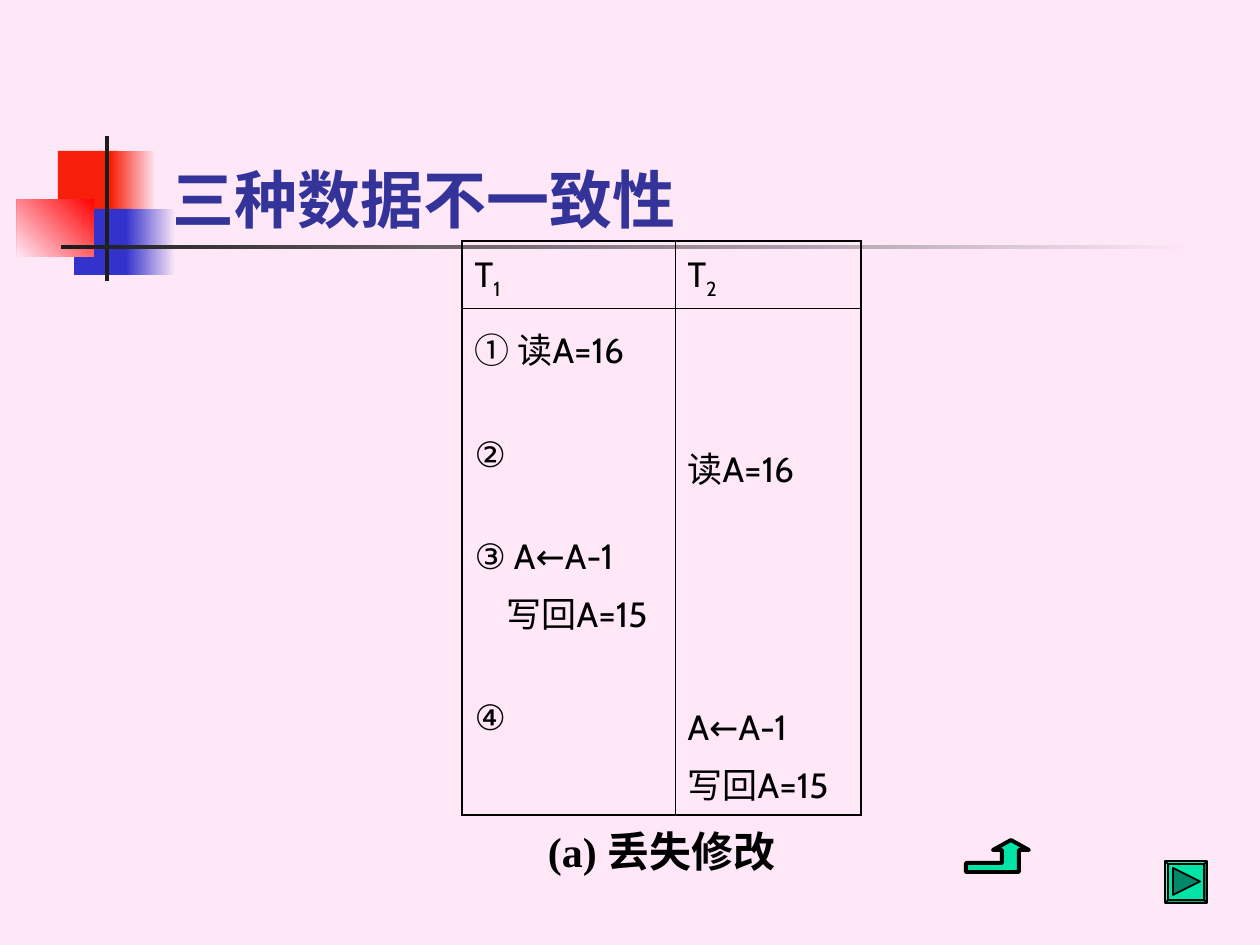
from pptx import Presentation
from pptx import util as u
from pptx.dml.color import RGBColor
from pptx.enum import shapes, text
from pptx.oxml import parse_xml
from pptx.oxml.ns import nsdecls

SCALE = 914400 / 126
PINK, RED, BLUE, DARK = "FEE8F7", "F6200A", "3333CC", "1C1C1C"
GREEN, BLACK = "00E4A8", "000000"
THIN, THICK = 0.45, 1.08


def px(n):
    return u.Emu(round(n * SCALE))


def rgb(value):
    return RGBColor.from_string(value)


class Deck:
    title_font = dict(name="Cabin", size=u.Pt(36), bold=True)
    cell_font = dict(name="Cabin", size=u.Pt(20), bold=False)
    caption_font = dict(name="Times New Roman", size=u.Pt(24), bold=True)

    def __init__(self, width, height, background):
        self.prs = Presentation()
        self.prs.slide_width, self.prs.slide_height = px(width), px(height)
        self.s = self.prs.slides.add_slide(self.prs.slide_layouts[5])
        fill = self.s.background.fill
        fill.solid()
        fill.fore_color.rgb = rgb(background)

    def font(self, r, fmt, color):
        for key, value in fmt.items():
            setattr(r.font, key, value)
        r.font.color.rgb = rgb(color)

    def paint(self, sp, fill, line=None, weight=1):
        sp.shadow.inherit = False
        sp.fill.solid()
        sp.fill.fore_color.rgb = rgb(fill)
        if line:
            sp.line.color.rgb = rgb(line)
            sp.line.width = u.Pt(weight)
        else:
            sp.line.fill.background()

    def shape(self, kind, box, fill, line=None, weight=1):
        sp = self.s.shapes.add_shape(kind, *map(px, box))
        self.paint(sp, fill, line, weight)
        return sp

    def fade(self, box, start, end, angle):
        sp = self.shape(shapes.MSO_SHAPE.RECTANGLE, box, start)
        sp.fill.gradient()
        sp.fill.gradient_angle = angle
        for stop, color in zip(sp.fill.gradient_stops, (start, end)):
            stop.color.rgb = rgb(color)

    def outline(self, points, fill, line, weight):
        builder = self.s.shapes.build_freeform(*points[0], scale=SCALE)
        builder.add_line_segments(points[1:], close=True)
        self.paint(builder.convert_to_shape(), fill, line, weight)

    def label(self, sp, box, words, fmt, color, frame, align):
        sp.left, sp.top, sp.width, sp.height = map(px, box)
        tf = sp.text_frame
        for key, value in frame.items():
            setattr(tf, key, value)
        p = tf.paragraphs[0]
        p.alignment = align
        r = p.add_run()
        r.text = words
        self.font(r, fmt, color)

    def title(self, box, words, color):
        frame = dict(vertical_anchor=text.MSO_ANCHOR.BOTTOM, word_wrap=True)
        self.label(self.s.shapes.title, box, words, self.title_font, color,
                   frame, text.PP_ALIGN.LEFT)

    def caption(self, box, words):
        frame = dict(vertical_anchor=text.MSO_ANCHOR.MIDDLE, word_wrap=False)
        sp = self.s.shapes.add_textbox(*map(px, box))
        self.label(sp, box, words, self.caption_font, BLACK, frame,
                   text.PP_ALIGN.CENTER)

    def borders(self, cell, weights):
        tcPr = cell._tc.get_or_add_tcPr()
        for i, (side, weight) in enumerate(zip("LRTB", weights)):
            tcPr.insert(i, parse_xml(
                f'<a:ln{side} {nsdecls("a")} w="{u.Pt(weight)}"><a:solidFill>'
                f'<a:srgbClr val="{BLACK}"/></a:solidFill></a:ln{side}>'))

    def cell(self, cell, top, lines):
        cell.margin_top = px(top)
        cell.fill.background()
        for i, (words, sub, gap, indent) in enumerate(lines):
            p = cell.text_frame.paragraphs[0] if i == 0 else cell.text_frame.add_paragraph()
            if gap:
                p.space_before = u.Pt(gap)
            if indent:
                p._p.get_or_add_pPr().set("marL", str(px(indent)))
            for part, low in ((words, False), (sub, True)):
                if part:
                    r = p.add_run()
                    r.text = part
                    self.font(r, self.cell_font, BLACK)
                    if low:
                        r.font._element.set("baseline", "-25000")

    def table(self, left, top, widths, heights, cells):
        rows, cols = len(heights), len(widths)
        frame = self.s.shapes.add_table(rows, cols, px(left), px(top),
                                        px(sum(widths)), px(sum(heights)))
        tbl = frame.table
        tbl.first_row = tbl.horz_banding = False
        for col, width in zip(tbl.columns, widths):
            col.width = px(width)
        for row, height in zip(tbl.rows, heights):
            row.height = px(height)
        for (i, j), (margin, lines) in cells.items():
            outer = (j == 0, j == cols - 1, i == 0, i == rows - 1)
            self.cell(tbl.cell(i, j), margin, lines)
            self.borders(tbl.cell(i, j), [THICK if edge else THIN for edge in outer])


def main():
    deck = Deck(1260, 945, PINK)
    rect = shapes.MSO_SHAPE.RECTANGLE
    deck.shape(rect, (58, 151, 60, 66), RED)
    deck.fade((111, 151, 45, 66), PINK, RED, 180)
    deck.shape(rect, (74, 209, 58, 66), BLUE)
    deck.fade((126, 209, 50, 66), PINK, BLUE, 180)
    deck.fade((17, 199, 77, 58), "FF0000", PINK, 225)
    deck.shape(rect, (105, 136, 4, 145), DARK)
    deck.fade((61, 245, 1134, 4), PINK, DARK, 180)

    deck.title((159, 84, 1074, 158), "三种数据不一致性", "333399")
    steps = [("① 读A=16", "", 0, 0), ("②", "", 34, 0), ("③ A←A-1", "", 34, 0),
             ("写回A=15", "", 5, 32), ("④", "", 34, 0)]
    replies = [("读A=16", "", 0, 0), ("A←A-1", "", 122, 0), ("写回A=15", "", 5, 0)]
    deck.table(462, 241, (213, 186), (61, 503), {
        (0, 0): (13, [("T", "1", 0, 0)]),
        (0, 1): (13, [("T", "2", 0, 0)]),
        (1, 0): (15, steps),
        (1, 1): (134, replies),
    })
    deck.caption((483, 809, 357, 84), "(a) 丢失修改")

    deck.outline([(966, 863), (1002, 863), (1002, 850), (993, 850), (1011, 840),
                  (1029, 850), (1019, 850), (1019, 872), (966, 872)],
                 GREEN, BLACK, 2.25)
    button = deck.shape(shapes.MSO_SHAPE.BEVEL, (1165, 861, 42, 42), GREEN, BLACK)
    button.adjustments[0] = 0.07
    arrow = deck.shape(shapes.MSO_SHAPE.ISOSCELES_TRIANGLE, (1173, 868, 27, 27),
                       "008968", BLACK)
    arrow.rotation = 90
    deck.prs.save("out.pptx")


if __name__ == "__main__":
    main()
